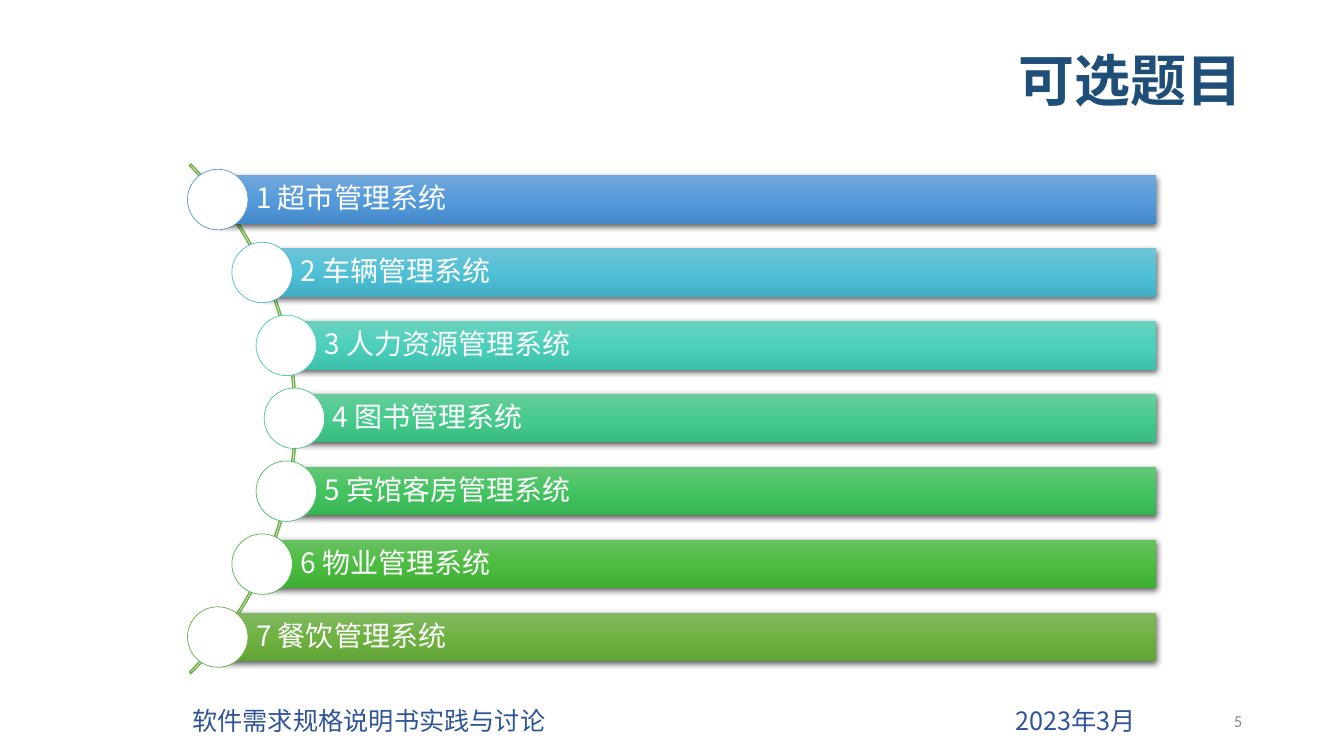
import copy
import pptx
import pptx.util
import pptx.dml.color
import pptx.enum.shapes
import pptx.enum.text
import pptx.oxml
import pptx.oxml.ns

Inches, Pt = pptx.util.Inches, pptx.util.Pt
SHAPE = pptx.enum.shapes.MSO_SHAPE
ALIGN = pptx.enum.text.PP_ALIGN
MIDDLE = pptx.enum.text.MSO_ANCHOR.MIDDLE
CJK = "Noto Sans CJK SC"


def rgb(value):
    return pptx.dml.color.RGBColor.from_string(value)


def write(sp, text, size, color, font=CJK, align=ALIGN.LEFT, bold=False):
    tf = sp.text_frame
    tf.text = text
    tf.word_wrap = True
    tf.vertical_anchor = MIDDLE
    p = tf.paragraphs[0]
    p.alignment = align
    r = p.runs[0]
    r.font.size = Pt(size)
    r.font.bold = bold
    r.font.name = font
    r.font.color.rgb = rgb(color)
    ea = pptx.oxml.parse_xml(f'<a:ea {pptx.oxml.ns.nsdecls("a")} typeface="{font}"/>')
    r.font._element.find(pptx.oxml.ns.qn("a:latin")).addnext(ea)
    return p


prs = pptx.Presentation()
prs.slide_width, prs.slide_height = Inches(13.33), Inches(7.5)
s = prs.slides.add_slide(prs.slide_layouts[5])

title = s.shapes.title
title.left, title.top = Inches(0.92), Inches(0.31)
title.width, title.height = Inches(11.5), Inches(1.04)
write(title, "可选题目", 40, "1F4E79", align=ALIGN.RIGHT, bold=True).line_spacing = 0.9

arc = s.shapes.add_shape(SHAPE.BLOCK_ARC, Inches(-4.21), Inches(0.58), Inches(7.15), Inches(7.15))
for k, value in enumerate((189, 27, 0.003)):
    arc.adjustments[k] = value
arc.fill.background()
arc.line.color.rgb = rgb("70AD47")
arc.line.width = Pt(1)
arc.shadow.inherit = False

topics = [
    ("超市管理系统", ("71A6DB", "559BDB", "448ACA"), "5B9BD5"),
    ("车辆管理系统", ("6EC4D6", "50C0D6", "40AFC5"), "56BCD0"),
    ("人力资源管理系统", ("6AD1C0", "4CD0BC", "3CC0AC"), "52CAB8"),
    ("图书管理系统", ("67CC9A", "47CB8E", "39BB7F"), "4DC58D"),
    ("宾馆客房管理系统", ("64C677", "44C460", "36B552"), "49BF64"),
    ("物业管理系统", ("69C062", "4CBD41", "3FAD34"), "50B846"),
    ("餐饮管理系统", ("81B861", "6FB242", "62A336"), "70AD47"),
]
indents = (2.16, 2.6, 2.84, 2.92)
right, first, pitch, bar_h, dot = 11.47, 1.98, 4.34 / 6, 0.48, 0.6

for i, (name, shades, outline) in enumerate(topics):
    x = indents[min(i, len(topics) - 1 - i)]
    y = first + i * pitch

    bar = s.shapes.add_shape(SHAPE.RECTANGLE, Inches(x), Inches(y - bar_h / 2),
                             Inches(right - x), Inches(bar_h))
    bar.line.fill.background()
    bar.fill.gradient()
    bar.fill.gradient_angle = 270
    stops = bar._element.spPr.find(".//" + pptx.oxml.ns.qn("a:gsLst"))
    stops.append(copy.deepcopy(stops[0]))
    for k, stop in enumerate(bar.fill.gradient_stops):
        stop.color.rgb = rgb(shades[k])
        stop.position = k / 2
    bar.shadow.inherit = False
    bar._element.spPr.find(pptx.oxml.ns.qn("a:effectLst")).append(pptx.oxml.parse_xml(
        f'<a:outerShdw {pptx.oxml.ns.nsdecls("a")} blurRad="{Pt(4.5)}" dist="{Pt(1.5)}" '
        'dir="5400000" algn="ctr" rotWithShape="0">'
        '<a:srgbClr val="000000"><a:alpha val="63000"/></a:srgbClr></a:outerShdw>'))
    tf = bar.text_frame
    tf.margin_left = Inches(0.38)
    tf.margin_top = tf.margin_right = tf.margin_bottom = Inches(0.06)
    write(bar, f"{i + 1} {name}", 20, "FFFFFF").line_spacing = 0.9

    circle = s.shapes.add_shape(SHAPE.OVAL, Inches(x - dot / 2), Inches(y - dot / 2),
                                Inches(dot), Inches(dot))
    circle.fill.solid()
    circle.fill.fore_color.rgb = rgb("FFFFFF")
    circle.line.color.rgb = rgb(outline)
    circle.line.width = Pt(0.5)
    circle.shadow.inherit = False

footers = [
    ("软件需求规格说明书实践与讨论", 1.81, 5, 18, "2F5597", CJK, ALIGN.LEFT),
    ("2023年3月", 8.36, 3, 18, "2F5597", CJK, ALIGN.RIGHT),
    ("5", 9.42, 3, 12, "8C8C8C", "Calibri", ALIGN.RIGHT),
]
for text, x, width, size, color, font, align in footers:
    box = s.shapes.add_textbox(Inches(x), Inches(6.95), Inches(width), Inches(0.4))
    write(box, text, size, color, font, align)

prs.save("out.pptx")
